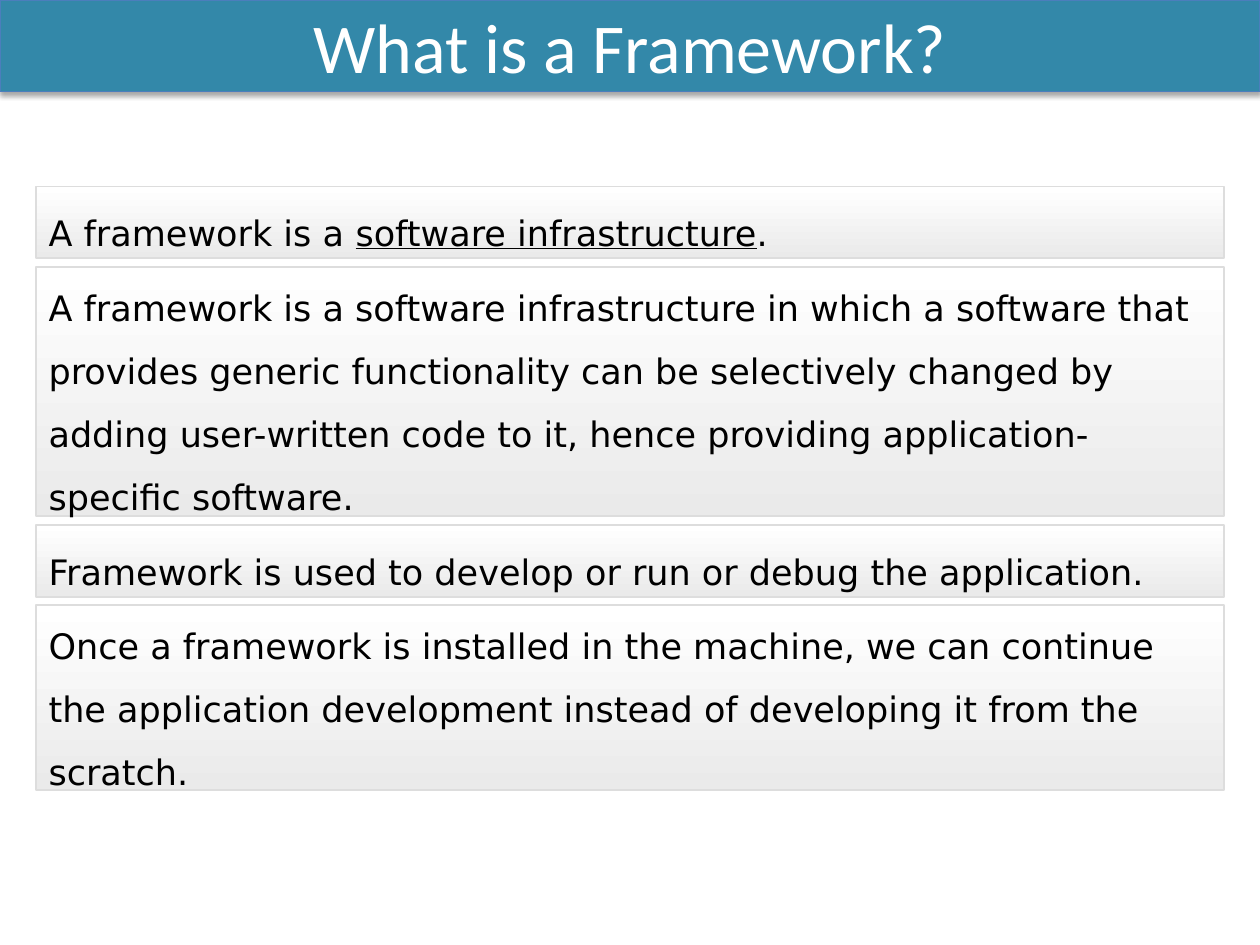
import pptx
import pptx.dml.color
import pptx.enum.shapes
import pptx.enum.text
import pptx.oxml
import pptx.oxml.ns
import pptx.util

Cm = pptx.util.Cm
Pt = pptx.util.Pt
Rgb = pptx.dml.color.RGBColor.from_string
Align = pptx.enum.text.PP_ALIGN

theme = {
    "bar": Rgb("3388A9"),
    "edge": Rgb("4B7EBC"),
    "rim": Rgb("DDDDDD"),
    "fade": [Rgb("FFFFFF"), Rgb("EAEAEA")],
    "title": {"name": "Calibri", "size": Pt(40), "color": Rgb("FFFFFF")},
    "body": {"name": "DejaVu Sans", "size": Pt(20), "color": Rgb("000000")},
}


def add_box(left, top, width, height, rim, weight):
    kind = pptx.enum.shapes.MSO_SHAPE.RECTANGLE
    box = slide.shapes.add_shape(kind, Cm(left), Cm(top), Cm(width), Cm(height))
    box.shadow.inherit = False
    box.line.color.rgb = rim
    box.line.width = Pt(weight)
    box.text_frame.word_wrap = True
    box.text_frame.vertical_anchor = pptx.enum.text.MSO_ANCHOR.MIDDLE
    return box


def add_text(box, parts, style, layout):
    para = box.text_frame.paragraphs[0]
    for key, value in layout.items():
        setattr(para, key, value)
    for text, line in parts:
        run = para.add_run()
        run.text = text
        for key, value in style.items():
            if key == "color":
                run.font.color.rgb = value
            else:
                setattr(run.font, key, value)
        if line:
            run.font.underline = True


deck = pptx.Presentation()
deck.slide_width = Cm(25.4)
deck.slide_height = Cm(19.05)
slide = deck.slides.add_slide(deck.slide_layouts[6])

bar = add_box(0, 0, 25.4, 1.84, theme["edge"], 0.75)
bar.fill.solid()
bar.fill.fore_color.rgb = theme["bar"]
add_text(bar, [("What is a Framework?", False)], theme["title"],
         {"alignment": Align.CENTER})
glow = pptx.oxml.parse_xml(
    f'<a:outerShdw {pptx.oxml.ns.nsdecls("a")} blurRad="{Pt(3.1)}" '
    f'dist="{Pt(1.8)}" dir="5400000" rotWithShape="0">'
    '<a:srgbClr val="000000"><a:alpha val="35000"/></a:srgbClr></a:outerShdw>')
bar._element.spPr.find(pptx.oxml.ns.qn("a:effectLst")).append(glow)

points = [
    (1.45, [("A framework is a ", False), ("software infrastructure", True),
            (".", False)]),
    (5.03, [("A framework is a software infrastructure in which a software "
             "that provides generic functionality can be selectively changed "
             "by adding user-written code to it, hence providing "
             "application-specific software.", False)]),
    (1.45, [("Framework is used to develop or run or debug the application.",
             False)]),
    (3.73, [("Once a framework is installed in the machine, we can continue "
             "the application development instead of developing it from the "
             "scratch.", False)]),
]
gap = 0.17
top = 3.76
for height, parts in points:
    box = add_box(0.73, top, 23.94, height, theme["rim"], 1)
    box.fill.gradient()
    box.fill.gradient_angle = 270
    for stop, place, shade in zip(box.fill.gradient_stops, (0, 1), theme["fade"]):
        stop.position = place
        stop.color.rgb = shade
    add_text(box, parts, theme["body"],
             {"alignment": Align.LEFT, "line_spacing": 1.5})
    top += height + gap

deck.save("out.pptx")
